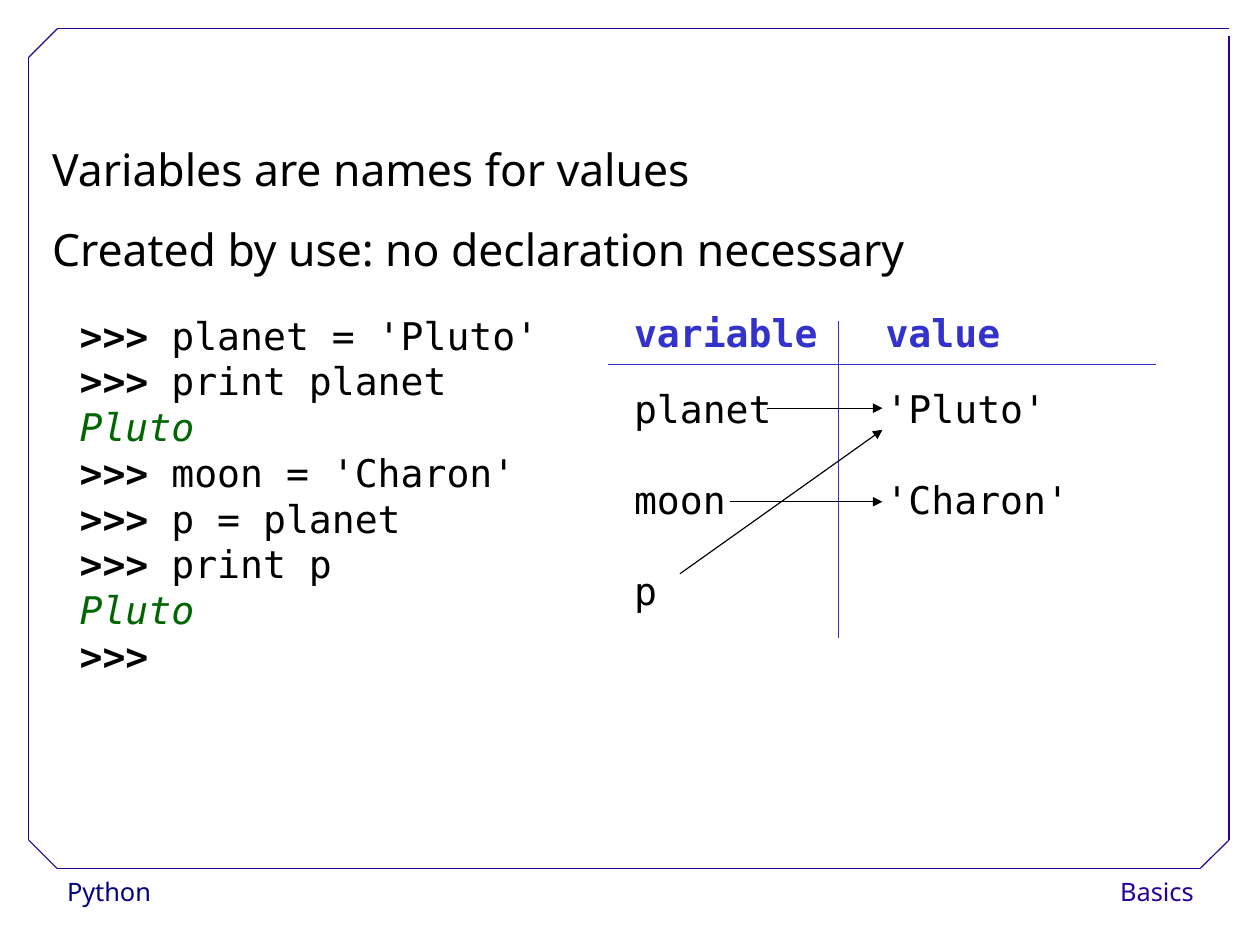
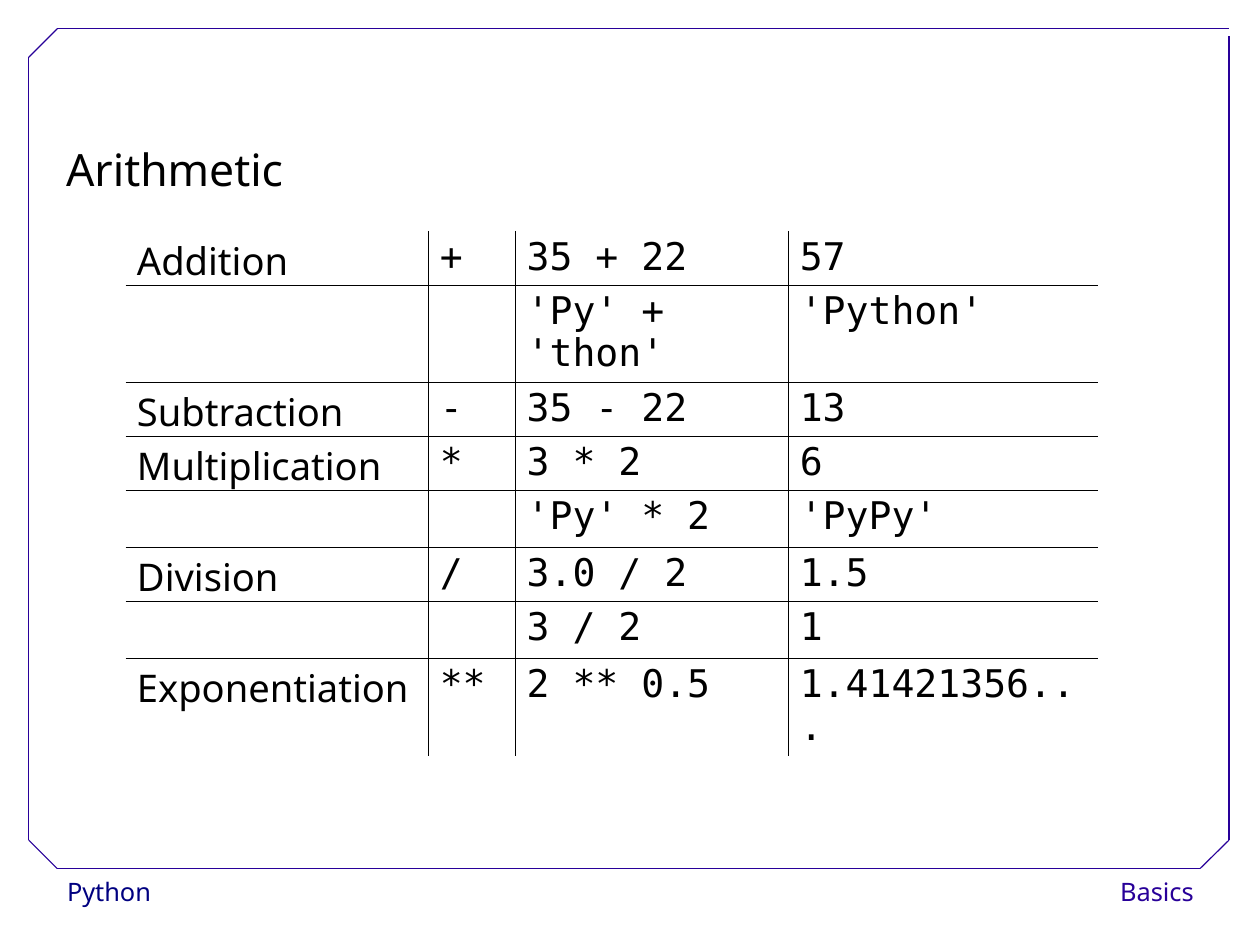
from lxml import etree
from pptx import Presentation
from pptx.dml.color import RGBColor
from pptx.enum.shapes import MSO_CONNECTOR, MSO_SHAPE
from pptx.enum.text import PP_ALIGN
from pptx.oxml.ns import qn
from pptx.util import Cm, Pt

STRAIGHT = MSO_CONNECTOR.STRAIGHT
RECTANGLE = MSO_SHAPE.RECTANGLE
LEFT, RIGHT = PP_ALIGN.LEFT, PP_ALIGN.RIGHT

BLACK = RGBColor(0x00, 0x00, 0x00)
WHITE = RGBColor(0xFF, 0xFF, 0xFF)
NAVY = RGBColor(0x00, 0x00, 0x80)
INDIGO = RGBColor(0x28, 0x00, 0x99)
BLUE = RGBColor(0x33, 0x33, 0xCC)
GREEN = RGBColor(0x00, 0x66, 0x00)

SANS, MONO = "Noto Sans", "DejaVu Sans Mono"
CODE_SIZE = 24
CODE_LINE = Pt(28.8)
TIGHT_LINE = Pt(26.8)

FRAME_LINES = [
    (1.27, 19.3, 26.67, 19.3),
    (0.64, 18.67, 0.64, 1.27),
    (1.27, 0.64, 27.31, 0.64),
    (27.31, 18.67, 27.31, 0.81),
    (0.64, 1.27, 1.27, 0.64),
    (26.67, 19.3, 27.31, 18.67),
    (0.64, 18.67, 1.27, 19.3),
]
FOOTERS = [
    ("Python", 1.24, 5.46, LEFT, NAVY),
    ("Basics", 23.22, 3.56, RIGHT, INDIGO),
]

PROMPT = ">>>"
SESSION = [
    ">>> planet = 'Pluto'",
    ">>> print planet",
    "Pluto",
    ">>> moon = 'Charon'",
    ">>> p = planet",
    ">>> print p",
    "Pluto",
    ">>>",
]
BINDING_COLUMNS = [
    (13.84, "variable", ["planet", "moon", "p"]),
    (19.43, "value", ["'Pluto'", "'Charon'"]),
]
BINDING_RULES = [(13.51, 8.1, 25.68, 8.1), (18.64, 7.14, 18.64, 14.17)]
BINDING_ARROWS = [
    (17.04, 9.07, 19.61, 9.07),
    (16.23, 11.15, 19.61, 11.15),
    (15.11, 12.75, 19.61, 9.55),
]

OPERATIONS = [
    ("Addition", "+", "35 + 22", "57"),
    ("", "", "'Py' + 'thon'", "'Python'"),
    ("Subtraction", "-", "35 - 22", "13"),
    ("Multiplication", "*", "3 * 2", "6"),
    ("", "", "'Py' * 2", "'PyPy'"),
    ("Division", "/", "3.0 / 2", "1.5"),
    ("", "", "3 / 2", "1"),
    ("Exponentiation", "**", "2 ** 0.5", "1.41421356..."),
]
COLUMN_WIDTHS = [6.73, 1.93, 6.07, 6.88]
ROW_HEIGHTS = [1.19, 2.16, 1.19, 1.19, 1.27, 1.19, 1.27, 2.16]


def style(font, name, size, color, bold=False, italic=False):
    font.name, font.size = name, Pt(size)
    font.bold, font.italic = bold, italic
    font.color.rgb = color


def add_line(page, ends, color, arrow=False):
    line = page.shapes.add_connector(STRAIGHT, *map(Cm, ends))
    line.line.color.rgb = color
    line.line.width = Pt(0.75)
    if arrow:
        outline = line.line._get_or_add_ln()
        etree.SubElement(outline, qn("a:tailEnd"), type="triangle")
    etree.SubElement(line._element.spPr, qn("a:effectLst"))


def add_text(page, place, lines, name, size, color, spacing, gap=0, bold=False):
    """Add one paragraph per line, with gap points between paragraphs."""
    frame = page.shapes.add_textbox(*map(Cm, place)).text_frame
    frame.word_wrap = True
    frame.text = "\n".join(lines)
    for index, para in enumerate(frame.paragraphs):
        para.line_spacing = spacing
        if index and gap:
            para.space_before = Pt(gap)
        for span in para.runs:
            style(span.font, name, size, color, bold)
    return frame


def add_page(deck, left, headings):
    """Add a slide with the footers, the frame and its heading lines."""
    page = deck.slides.add_slide(deck.slide_layouts[6])
    for text, x, width, alignment, color in FOOTERS:
        box = page.shapes.add_shape(RECTANGLE, Cm(x), Cm(19.3), Cm(width), Cm(1.02))
        box.shadow.inherit = False
        box.fill.solid()
        box.fill.fore_color.rgb = WHITE
        box.line.fill.background()
        box.text_frame.text = text
        para = box.text_frame.paragraphs[0]
        para.alignment = alignment
        style(para.runs[0].font, SANS, 16, color)
    for ends in FRAME_LINES:
        add_line(page, ends, INDIGO)
    add_text(page, (left, 2.44, 22, 1.9 * len(headings)), headings,
             SANS, 28, BLACK, Pt(50.4))
    return page


def add_session(page):
    frame = add_text(page, (1.52, 6.81, 11, 8.15), SESSION,
                     MONO, CODE_SIZE, BLACK, CODE_LINE)
    for para, line in zip(frame.paragraphs, SESSION):
        span = para.runs[0]
        if not line.startswith(PROMPT):
            style(span.font, MONO, CODE_SIZE, GREEN, italic=True)
            continue
        span.text = PROMPT
        span.font.bold = True
        code = line[len(PROMPT):]
        if code:
            rest = para.add_run()
            rest.text = code
            style(rest.font, MONO, CODE_SIZE, BLACK)


def add_bindings(page):
    for ends in BINDING_RULES:
        add_line(page, ends, BLUE)
    for left, heading, entries in BINDING_COLUMNS:
        add_text(page, (left, 6.83, 5.2, 1.27), [heading],
                 MONO, CODE_SIZE, BLUE, TIGHT_LINE, bold=True)
        add_text(page, (left, 8.43, 5.2, 5.28), entries,
                 MONO, CODE_SIZE, BLACK, CODE_LINE, gap=28.8)
    for ends in BINDING_ARROWS:
        add_line(page, ends, BLACK, arrow=True)


def set_borders(cell, drawn):
    """Rule the sides of a cell; drawn maps each side to True or False."""
    properties = cell._tc.get_or_add_tcPr()
    for side, visible in drawn.items():
        border = etree.SubElement(properties, qn(f"a:ln{side}"), w=str(Pt(0.45)))
        if visible:
            fill = etree.SubElement(border, qn("a:solidFill"))
            etree.SubElement(fill, qn("a:srgbClr"), val=str(BLACK))
        else:
            etree.SubElement(border, qn("a:noFill"))


def add_operations(page):
    last_row, last_column = len(ROW_HEIGHTS) - 1, len(COLUMN_WIDTHS) - 1
    table = page.shapes.add_table(
        len(ROW_HEIGHTS), len(COLUMN_WIDTHS), Cm(2.79), Cm(5.13),
        Cm(sum(COLUMN_WIDTHS)), Cm(sum(ROW_HEIGHTS))).table
    table.first_row = table.horz_banding = False
    for column, width in zip(table.columns, COLUMN_WIDTHS):
        column.width = Cm(width)
    for r, (row, height, texts) in enumerate(zip(table.rows, ROW_HEIGHTS, OPERATIONS)):
        row.height = Cm(height)
        for c, (cell, text) in enumerate(zip(row.cells, texts)):
            set_borders(cell, {"L": c > 0, "R": c < last_column,
                               "T": r > 0, "B": r < last_row})
            cell.fill.background()
            cell.text = text
            para = cell.text_frame.paragraphs[0]
            para.line_spacing = TIGHT_LINE if c else 0.93
            if c == 0:
                cell.margin_bottom = 0
            for span in para.runs:
                style(span.font, MONO if c else SANS, CODE_SIZE, BLACK)


def main():
    deck = Presentation()
    deck.slide_width, deck.slide_height = Cm(28), Cm(21)

    variables = add_page(deck, 0.91, ["Variables are names for values",
                                      "Created by use: no declaration necessary"])
    add_session(variables)
    add_bindings(variables)

    arithmetic = add_page(deck, 1.22, ["Arithmetic"])
    add_operations(arithmetic)

    deck.save("out.pptx")


if __name__ == "__main__":
    main()
